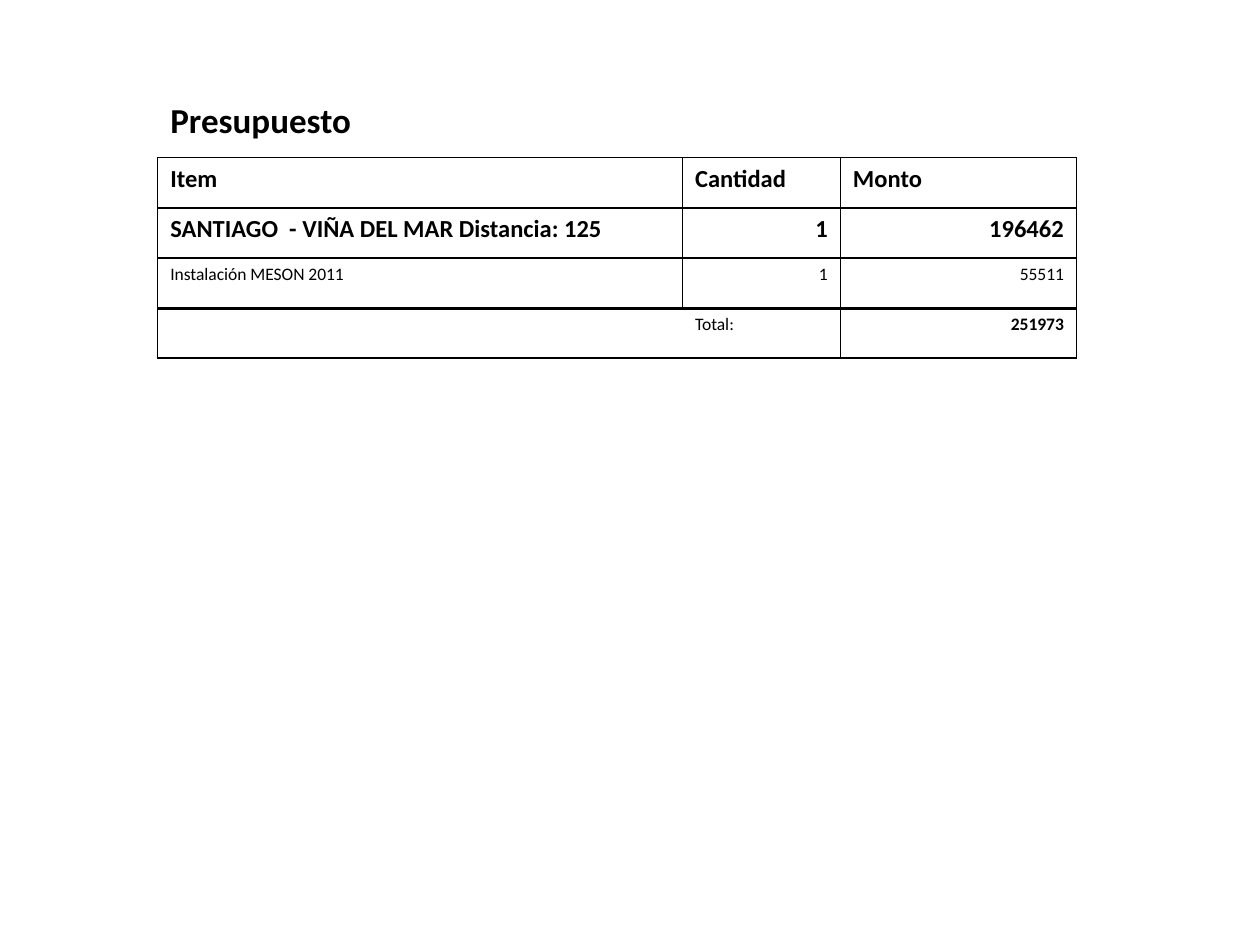
from lxml.etree import SubElement
from pptx import Presentation
from pptx.dml.color import RGBColor
from pptx.enum.text import MSO_ANCHOR, PP_ALIGN
from pptx.oxml.ns import qn
from pptx.util import Cm, Pt

COLORS = {"ink": "000000", "paper": "FFFFFF"}


def write(frame, text, size=14, bold=True, align=PP_ALIGN.LEFT):
    line = frame.paragraphs[0]
    line.alignment = align
    if not text:
        SubElement(line._p, qn("a:endParaRPr"), sz=str(size * 100))
        return
    run = line.add_run()
    run.text = text
    run.font.name = "Calibri"
    run.font.size = Pt(size)
    run.font.bold = bold
    run.font.color.rgb = RGBColor.from_string(COLORS["ink"])


def border(cell, side, width):
    props = cell._tc.get_or_add_tcPr()
    line = SubElement(props, qn("a:ln" + side), w=str(Pt(width)))
    if width:
        fill = SubElement(line, qn("a:solidFill"))
        SubElement(fill, qn("a:srgbClr"), val=COLORS["ink"])
    else:
        SubElement(line, qn("a:noFill"))


deck = Presentation()
deck.slide_width, deck.slide_height = Cm(25.4), Cm(19.05)
slide = deck.slides.add_slide(deck.slide_layouts[5])

title = slide.shapes.title
title.left, title.top = Cm(3.18), Cm(1.86)
title.width, title.height = Cm(15.88), Cm(7.92)
title.text_frame.word_wrap = True
title.text_frame.vertical_anchor = MSO_ANCHOR.TOP
write(title.text_frame, "Presupuesto", size=20)

rows = [
    ("Item", "Cantidad", "Monto"),
    ("SANTIAGO  - VIÑA DEL MAR Distancia: 125", "1", "196462"),
    ("Instalación MESON 2011", "1", "55511"),
    ("", "Total:", "251973"),
]
widths = [10.58, 3.18, 4.76]
height = 1.01
last = len(rows) - 1

table = slide.shapes.add_table(
    len(rows), len(widths), Cm(3.18), Cm(3.18),
    Cm(sum(widths)), Cm(height * len(rows))).table
table.first_row = False
table.horz_banding = False
for column, width in zip(table.columns, widths):
    column.width = Cm(width)

for r, texts in enumerate(rows):
    table.rows[r].height = Cm(height)
    for c, text in enumerate(texts):
        cell = table.cell(r, c)
        lines = {"L": 1, "R": 1, "T": 1, "B": 1}
        if r == last - 1:
            lines["B"] = 2
        if r == last and c == 0:
            lines["R"] = 0
        if r == last and c == 1:
            lines["L"] = 0
        for side, width in lines.items():
            border(cell, side, width)
        if r == last:
            cell.fill.background()
        else:
            cell.fill.solid()
            cell.fill.fore_color.rgb = RGBColor.from_string(COLORS["paper"])
        write(cell.text_frame, text,
              size=14 if r < 2 else 10,
              bold=r < 2 or (r == last and c == 2),
              align=PP_ALIGN.RIGHT if text.isdigit() else PP_ALIGN.LEFT)

deck.save("out.pptx")
